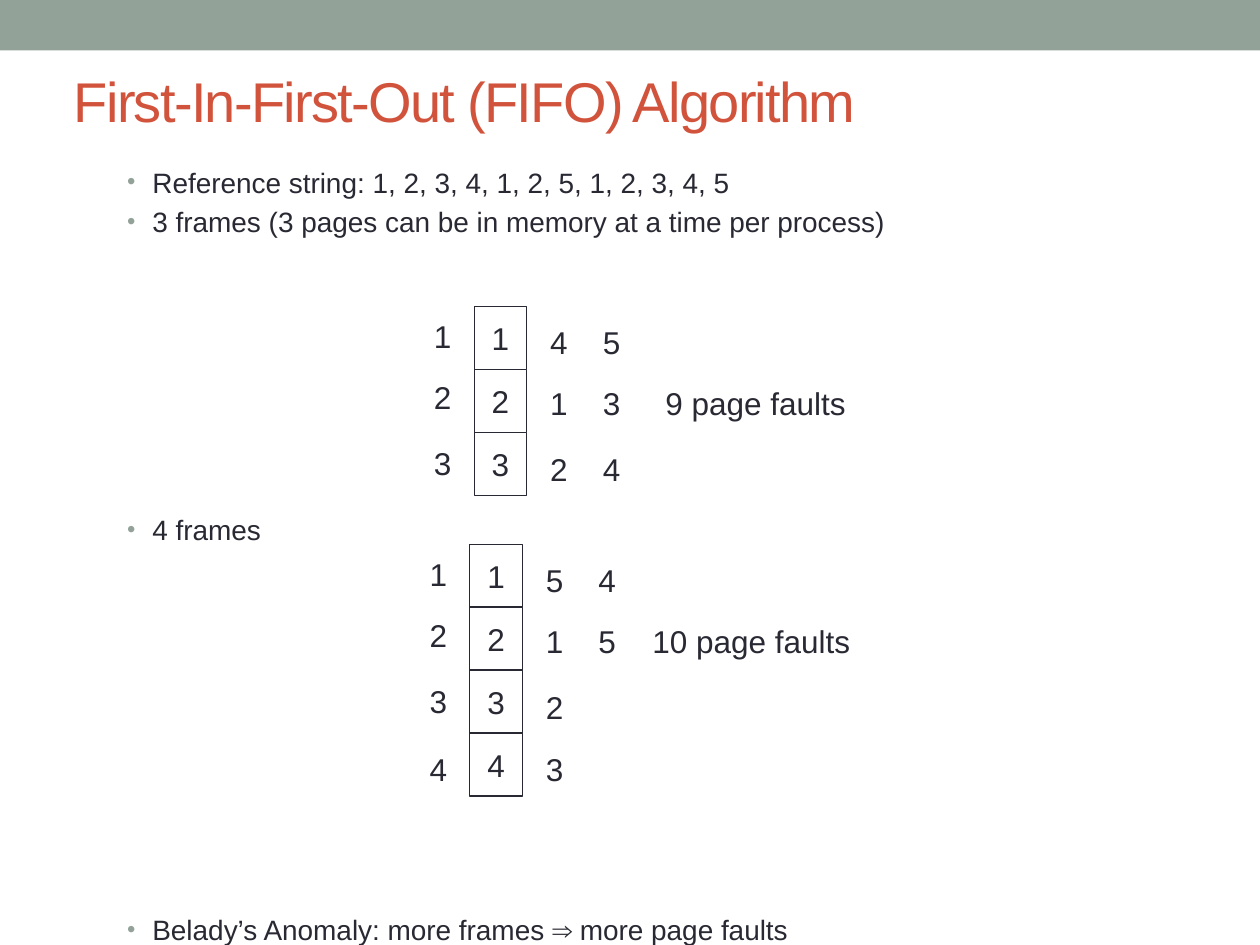
from dataclasses import dataclass

from lxml.etree import SubElement
from pptx import Presentation
from pptx.dml.color import RGBColor
from pptx.enum.shapes import MSO_SHAPE
from pptx.enum.text import MSO_ANCHOR, MSO_AUTO_SIZE, PP_ALIGN
from pptx.oxml.ns import qn
from pptx.util import Pt


@dataclass(frozen=True)
class Theme:
    font: str = "Arial"
    accent: RGBColor = RGBColor(0x93, 0xA2, 0x99)
    title: RGBColor = RGBColor(0xD2, 0x53, 0x3C)
    text: RGBColor = RGBColor(0x29, 0x29, 0x34)
    paper: RGBColor = RGBColor(0xFF, 0xFF, 0xFF)
    title_size: int = 32
    body_size: int = 16
    page_size: int = 18


THEME = Theme()
CELL_WIDTH, CELL_HEIGHT = 30, 36
LABEL_WIDTH, LABEL_HEIGHT = 24.5, 28.8
# Offsets from the top left corner of a frame stack
BEFORE_X, AFTER_X = -30.25, (36.2, 66.2)
BEFORE_Y = (2.8, 37.7, 75.2, 113.8)
AFTER_Y = (6, 41, 78.5, 113.8)

BULLETS = (  # text, space before
    ("Reference string: 1, 2, 3, 4, 1, 2, 5, 1, 2, 3, 4, 5", 0),
    ("3 frames (3 pages can be in memory at a time per process)", 3.2),
    ("4 frames", 157),
    ("Belady’s Anomaly: more frames ⇒ more page faults", 209.2),
)


def style(paragraph, size, color=THEME.text, align=PP_ALIGN.LEFT):
    paragraph.alignment = align
    font = paragraph.font
    font.name, font.size = THEME.font, Pt(size)
    font.color.rgb = color


def add_band(slide):
    band = slide.shapes.add_shape(MSO_SHAPE.RECTANGLE, 0, 0, Pt(720), Pt(28.8))
    band.shadow.inherit = False
    band.fill.solid()
    band.fill.fore_color.rgb = THEME.accent
    band.line.fill.background()
    slide.shapes.element.insert(2, band.element)  # behind the title


def set_title(slide, text):
    title = slide.shapes.title
    title.left, title.top, title.width, title.height = Pt(35), Pt(18.4), Pt(648), Pt(77.8)
    frame = title.text_frame
    frame.text = text
    frame.vertical_anchor = MSO_ANCHOR.MIDDLE
    paragraph = frame.paragraphs[0]
    style(paragraph, THEME.title_size, THEME.title)
    paragraph.runs[0].font._element.set("spc", "-100")


def add_bullet(paragraph):
    properties = paragraph._p.get_or_add_pPr()
    properties.set("marL", str(Pt(14.4)))
    properties.set("indent", str(-Pt(14.4)))
    color = SubElement(properties, qn("a:buClr"))
    SubElement(color, qn("a:srgbClr"), val=str(THEME.accent))
    SubElement(properties, qn("a:buSzPct"), val="85000")
    SubElement(properties, qn("a:buFont"), typeface=THEME.font)
    SubElement(properties, qn("a:buChar"), char="•")


def add_bullets(slide):
    box = slide.shapes.add_textbox(Pt(65.6), Pt(90.8), Pt(553.7), Pt(449))
    frame = box.text_frame
    frame.word_wrap = True
    for index, (text, space) in enumerate(BULLETS):
        paragraph = frame.add_paragraph() if index else frame.paragraphs[0]
        paragraph.text = text
        add_bullet(paragraph)
        paragraph.space_before = Pt(space)
        style(paragraph, THEME.body_size)


def center_text(shape, text):
    frame = shape.text_frame
    frame.text = text
    frame.word_wrap = False
    frame.vertical_anchor = MSO_ANCHOR.MIDDLE
    style(frame.paragraphs[0], THEME.page_size, align=PP_ALIGN.CENTER)


def add_cell(slide, left, top, text):
    cell = slide.shapes.add_shape(
        MSO_SHAPE.RECTANGLE, Pt(left), Pt(top), Pt(CELL_WIDTH), Pt(CELL_HEIGHT))
    cell.shadow.inherit = False
    cell.fill.solid()
    cell.fill.fore_color.rgb = THEME.paper
    cell.line.color.rgb = THEME.text
    cell.line.width = Pt(0.75)
    center_text(cell, text)


def add_label(slide, left, top, text, width=LABEL_WIDTH):
    label = slide.shapes.add_textbox(Pt(left), Pt(top), Pt(width), Pt(LABEL_HEIGHT))
    center_text(label, text)
    label.text_frame.auto_size = MSO_AUTO_SIZE.SHAPE_TO_FIT_TEXT


def add_frame_stack(slide, left, top, frames, replacements):
    """Draw numbered frames, each followed by the pages that replace its first page."""
    for row in range(frames):
        number = str(row + 1)
        add_cell(slide, left, top + row * CELL_HEIGHT, number)
        add_label(slide, left + BEFORE_X, top + BEFORE_Y[row], number)
        for offset, page in zip(AFTER_X, replacements[row]):
            add_label(slide, left + offset, top + AFTER_Y[row], page)


def main():
    presentation = Presentation()
    presentation.slide_width, presentation.slide_height = Pt(720), Pt(540)
    slide = presentation.slides.add_slide(presentation.slide_layouts[5])
    add_band(slide)
    set_title(slide, "First-In-First-Out (FIFO) Algorithm")
    add_bullets(slide)
    add_frame_stack(slide, 271, 175, 3, ("45", "13", "24"))
    add_label(slide, 373, 175 + AFTER_Y[1], "9 page faults", 117.4)
    add_frame_stack(slide, 268.5, 311, 4, ("54", "15", "2", "3"))
    add_label(slide, 365.6, 311 + AFTER_Y[1], "10 page faults", 127.4)
    presentation.save("out.pptx")


if __name__ == "__main__":
    main()
